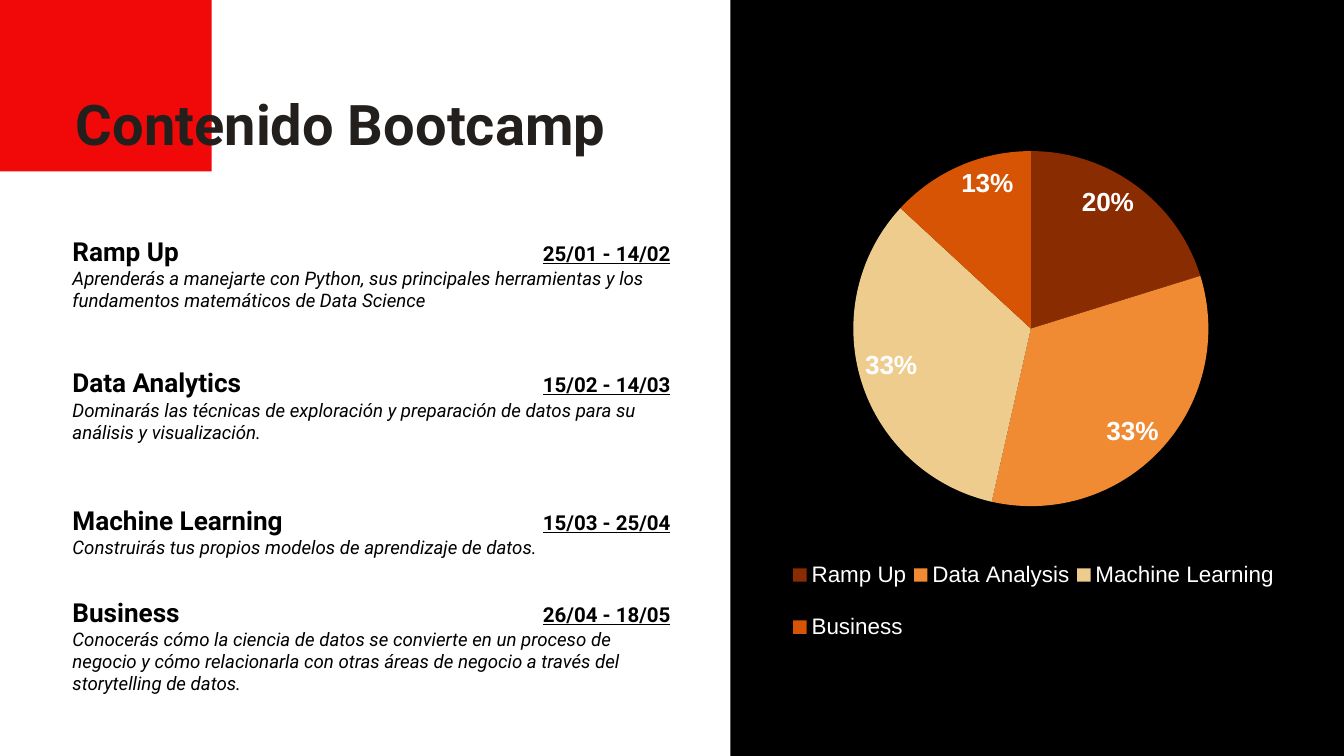
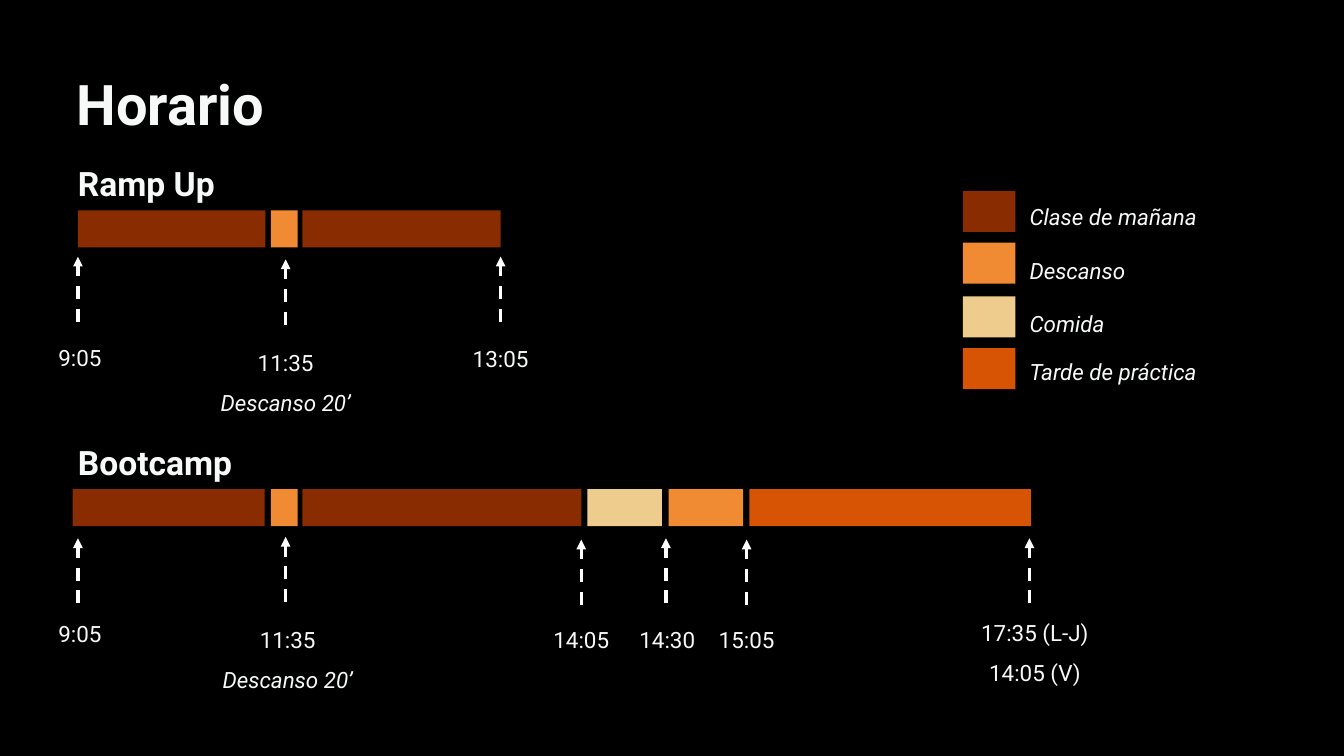
from collections import namedtuple

from lxml.etree import SubElement
from pptx import Presentation
from pptx.chart.data import CategoryChartData
from pptx.dml.color import RGBColor
from pptx.enum.chart import XL_CHART_TYPE as ChartType
from pptx.enum.chart import XL_LABEL_POSITION as LabelPosition
from pptx.enum.chart import XL_LEGEND_POSITION as LegendPosition
from pptx.enum.dml import MSO_LINE_DASH_STYLE as Dash
from pptx.enum.shapes import MSO_CONNECTOR_TYPE as Connector
from pptx.enum.shapes import MSO_SHAPE as Shape
from pptx.enum.text import MSO_AUTO_SIZE as AutoSize
from pptx.enum.text import PP_ALIGN as Align
from pptx.oxml.ns import qn
from pptx.util import Emu, Pt

PX = 9144  # 100 px to the inch
SLIDE_WIDTH, SLIDE_HEIGHT = 2000, 1125
FONT, CHART_FONT = "Roboto", "Arial"
COLORS = {
    "black": "000000",
    "white": "FFFFFF",
    "red": "F10909",
    "ink": "231F1D",
    "pale": "F7F9F8",
    "morning": "8A2C02",
    "break": "F08B33",
    "lunch": "EECC8D",
    "practice": "D75404",
}
TITLE = {"size": 60, "bold": True}

# Offsets are measured from the timeline's corner; shift moves the label sideways
Mark = namedtuple("Mark", "x tip label_top lines shift label_width", defaults=(0, 184))


def px(value):
    return Emu(round(value * PX))


def color(name):
    return RGBColor.from_string(COLORS[name])


# Shared building blocks
def new_slide(presentation, background):
    slide = presentation.slides.add_slide(presentation.slide_layouts[6])
    slide.background.fill.solid()
    slide.background.fill.fore_color.rgb = color(background)
    return slide


def add_rectangle(slide, box, fill):
    shape = slide.shapes.add_shape(Shape.RECTANGLE, *map(px, box))
    shape.shadow.inherit = False
    shape.fill.solid()
    shape.fill.fore_color.rgb = color(fill)
    shape.line.fill.background()
    return shape


def add_text(slide, box, paragraphs, size=24, fill="pale", bold=False, italic=False,
             align=Align.LEFT, spacing=None, insets=(0, 0), right_tab=None):
    """Each paragraph is a list of (text, overrides of the format) runs."""
    frame = slide.shapes.add_textbox(*map(px, box)).text_frame
    frame.word_wrap = True
    frame.auto_size = AutoSize.SHAPE_TO_FIT_TEXT
    frame.margin_left = frame.margin_right = px(insets[0])
    frame.margin_top = frame.margin_bottom = px(insets[1])
    base = {"size": size, "bold": bold, "italic": italic, "underline": False}
    for index, runs in enumerate(paragraphs):
        paragraph = frame.add_paragraph() if index else frame.paragraphs[0]
        paragraph.alignment = align
        if spacing:
            paragraph.line_spacing = spacing
        if right_tab:
            tabs = SubElement(paragraph._p.get_or_add_pPr(), qn("a:tabLst"))
            SubElement(tabs, qn("a:tab"), pos=str(px(right_tab)), algn="r")
        for text, overrides in runs:
            style = {**base, **overrides}
            run = paragraph.add_run()
            run.text = text
            run.font.name = FONT
            run.font.size = Pt(style["size"])
            run.font.color.rgb = color(fill)
            run.font.bold = style["bold"]
            run.font.italic = style["italic"]
            run.font.underline = style["underline"]


def add_line(slide, box, text, **style):
    add_text(slide, box, [[(text, {})]], **style)


def add_up_arrow(slide, x, tip, length=97):
    arrow = slide.shapes.add_connector(
        Connector.STRAIGHT, px(x), px(tip + length), px(x), px(tip))
    arrow.line.color.rgb = color("white")
    arrow.line.width = Pt(3.5)
    arrow.line.dash_style = Dash.DASH
    SubElement(arrow.line._get_or_add_ln(), qn("a:tailEnd"), type="triangle")
    SubElement(arrow._element.spPr, qn("a:effectLst"))


# Contents slide
def add_module(slide, box, name, dates, description, tab_size=28):
    heading = [
        (name, {"bold": True}),
        ("\t", {"bold": True, "size": tab_size}),
        (dates, {"bold": True, "size": 22, "underline": True}),
    ]
    body = [(description, {"size": 20, "italic": True})]
    add_text(slide, box, [heading, body], size=28, fill="black",
             insets=(10, 5), right_tab=890)


def set_layout(parent, after, position, target=None):
    """Give a chart part a manual layout in fractions of the chart."""
    for old in parent.findall(qn("c:layout")):
        parent.remove(old)
    layout = parent.makeelement(qn("c:layout"), {})
    if after is None:
        parent.insert(0, layout)
    else:
        after.addnext(layout)
    manual = SubElement(layout, qn("c:manualLayout"))
    if target:
        SubElement(manual, qn("c:layoutTarget"), val=target)
    for mode in ("xMode", "yMode"):
        SubElement(manual, qn(f"c:{mode}"), val="edge")
    for key, value in zip("xywh", position):
        SubElement(manual, qn(f"c:{key}"), val=str(value))


def add_module_pie(slide, box):
    shares = {
        "Ramp Up": (20, "morning"),
        "Data Analysis": (33, "break"),
        "Machine Learning": (33, "lunch"),
        "Business": (13, "practice"),
    }
    data = CategoryChartData()
    data.categories = list(shares)
    data.add_series("Series 1", [value for value, _ in shares.values()])
    chart = slide.shapes.add_chart(ChartType.PIE, *map(px, box), data).chart
    chart.has_title = False
    chart.font.name = CHART_FONT
    chart.font.size = Pt(10)

    plot = chart.plots[0]
    plot.vary_by_categories = True
    for index, (_, fill) in enumerate(shares.values()):
        point = plot.series[0].points[index]
        point.format.fill.solid()
        point.format.fill.fore_color.rgb = color(fill)
        point.format.line.fill.background()

    plot.has_data_labels = True
    labels = plot.data_labels
    labels.show_percentage = True
    labels.show_value = False
    labels.number_format = "0%"
    labels.number_format_is_linked = False
    labels.position = LabelPosition.INSIDE_END
    labels.font.bold = True

    chart.has_legend = True
    legend = chart.legend
    legend.position = LegendPosition.BOTTOM
    legend.include_in_layout = False
    for part, size in ((labels, 28), (legend, 24)):
        part.font.name = CHART_FONT
        part.font.size = Pt(size)
        part.font.color.rgb = color("white")

    plot_area = chart._chartSpace.chart.plotArea
    set_layout(plot_area, None, (0.18, 0.13, 0.68, 0.69), target="inner")
    legend_xml = legend._element
    set_layout(legend_xml, legend_xml.find(qn("c:legendPos")), (0.05, 0.79, 0.95, 0.2))


def build_contents(presentation):
    slide = new_slide(presentation, "white")
    add_rectangle(slide, (1087, 0, SLIDE_WIDTH - 1087, SLIDE_HEIGHT), "black")
    add_rectangle(slide, (0, 0, 315, 255), "red")
    add_line(slide, (113, 113, 850, 120), "Contenido Bootcamp",
             fill="ink", spacing=1.2, **TITLE)
    add_module_pie(slide, (1130, 25, 777, 977))

    left, width = 98, 920
    add_module(slide, (left, 345, width, 123), "Ramp Up", "25/01 - 14/02",
               "Aprenderás a manejarte con Python, sus principales herramientas "
               "y los fundamentos matemáticos de Data Science")
    add_module(slide, (left, 535, width, 130), "Data Analytics", "15/02 - 14/03",
               "Dominarás las técnicas de exploración y preparación de datos "
               "para su análisis y visualización.", tab_size=32)
    add_module(slide, (left, 746, width, 90), "Machine Learning", "15/03 - 25/04",
               "Construirás tus propios modelos de aprendizaje de datos.")
    add_module(slide, (left, 882, width, 157), "Business", "26/04 - 18/05",
               "Conocerás cómo la ciencia de datos se convierte en un proceso de "
               "negocio y cómo relacionarla con otras áreas de negocio a través "
               "del storytelling de datos.")


# Timetable slide
def add_timeline(slide, corner, name, bars, marks):
    left, top = corner
    add_line(slide, (left, top, 344, 90), name, size=36, bold=True, spacing=1.5)
    for x, width, fill in bars:
        add_rectangle(slide, (left + x, top + 100, width, 55), fill)
    for mark in marks:
        add_up_arrow(slide, left + mark.x, top + mark.tip)
        label_left = left + mark.x + mark.shift - mark.label_width / 2
        height = 53 + 61 * (len(mark.lines) - 1)
        paragraphs = [[(line, {"italic": line.startswith("Descanso")})]
                      for line in mark.lines]
        add_text(slide, (label_left, top + mark.label_top, mark.label_width, height),
                 paragraphs, align=Align.CENTER, spacing=1.5)


def add_key(slide, corner, entries):
    left, top = corner
    for swatch_top, text_top, name, fill in entries:
        add_rectangle(slide, (left, top + swatch_top, 78, 61), fill)
        add_line(slide, (left + 99, top + text_top, 268, 60), name,
                 italic=True, spacing=1.5)


def build_timetable(presentation):
    slide = new_slide(presentation, "black")
    add_line(slide, (114, 54, 396, 150), "Horario", spacing=1.5, **TITLE)

    pause = ["11:35", "Descanso 20’"]
    add_timeline(
        slide, (116, 213), "Ramp Up",
        bars=[(0, 279, "morning"), (287, 40, "break"), (334, 295, "morning")],
        marks=[
            Mark(0, 169, 279, ["9:05"], shift=3),
            Mark(309, 173, 286, pause, label_width=197),
            Mark(629, 169, 280, ["13:05"]),
        ])
    add_timeline(
        slide, (116, 628), "Bootcamp",
        bars=[
            (-8, 286, "morning"), (287, 40, "break"), (334, 415, "morning"),
            (758, 111, "lunch"), (879, 111, "break"), (999, 419, "practice"),
        ],
        marks=[
            Mark(0, 173, 275, ["9:05"], shift=3),
            Mark(309, 171, 283, pause, shift=3, label_width=205),
            Mark(749, 175, 283, ["14:05"]),
            Mark(875, 173, 283, ["14:30"], shift=2),
            Mark(995, 175, 283, ["15:05"]),
            Mark(1416, 173, 273, ["17:35 (L-J)", "14:05 (V)"], shift=8, label_width=280),
        ])
    add_key(slide, (1433, 284), [
        (0, -2, "Clase de mañana", "morning"),
        (77, 78, "Descanso", "break"),
        (157, 157, "Comida", "lunch"),
        (234, 229, "Tarde de práctica", "practice"),
    ])


def main():
    presentation = Presentation()
    presentation.slide_width = px(SLIDE_WIDTH)
    presentation.slide_height = px(SLIDE_HEIGHT)
    build_contents(presentation)
    build_timetable(presentation)
    presentation.save("out.pptx")


if __name__ == "__main__":
    main()
